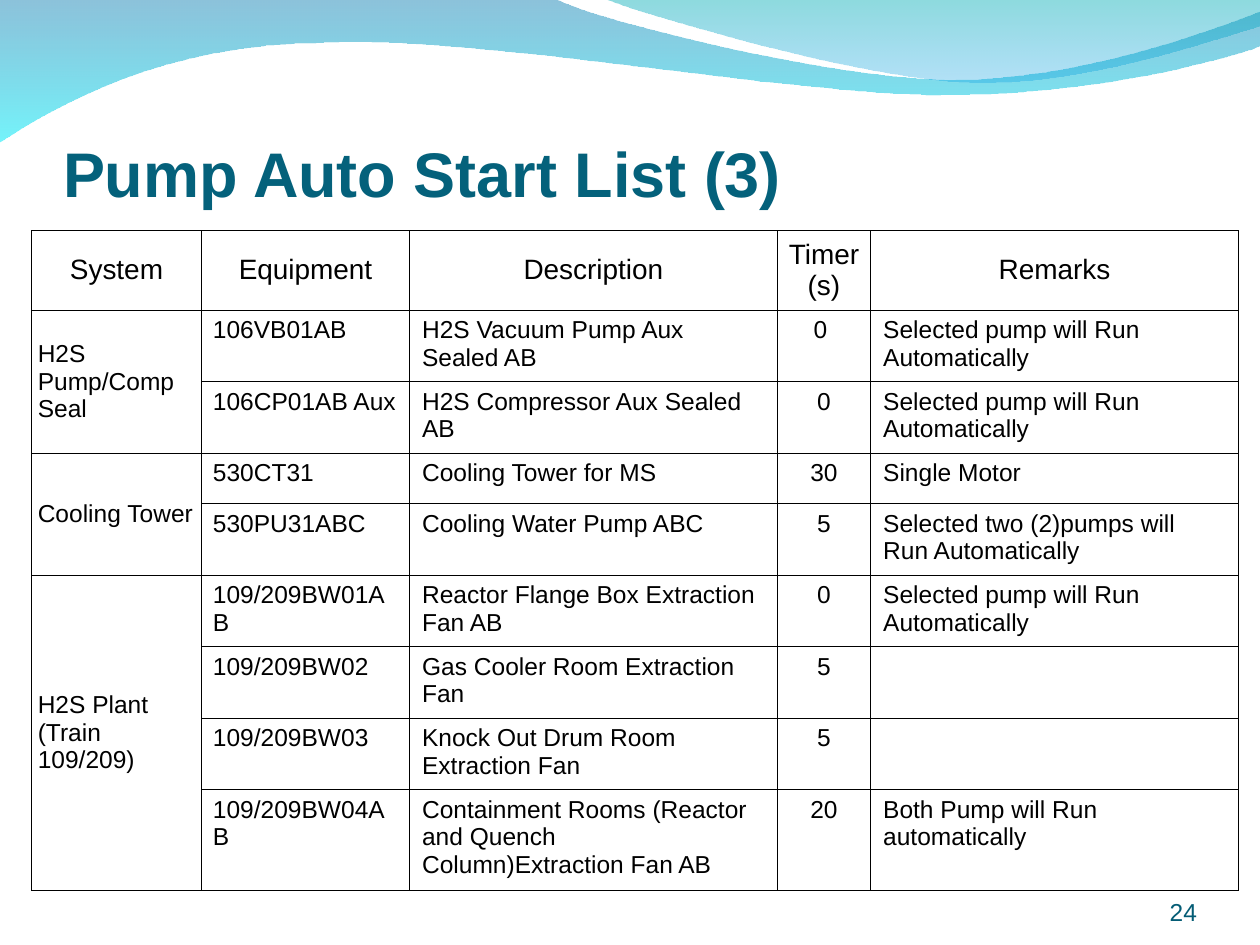
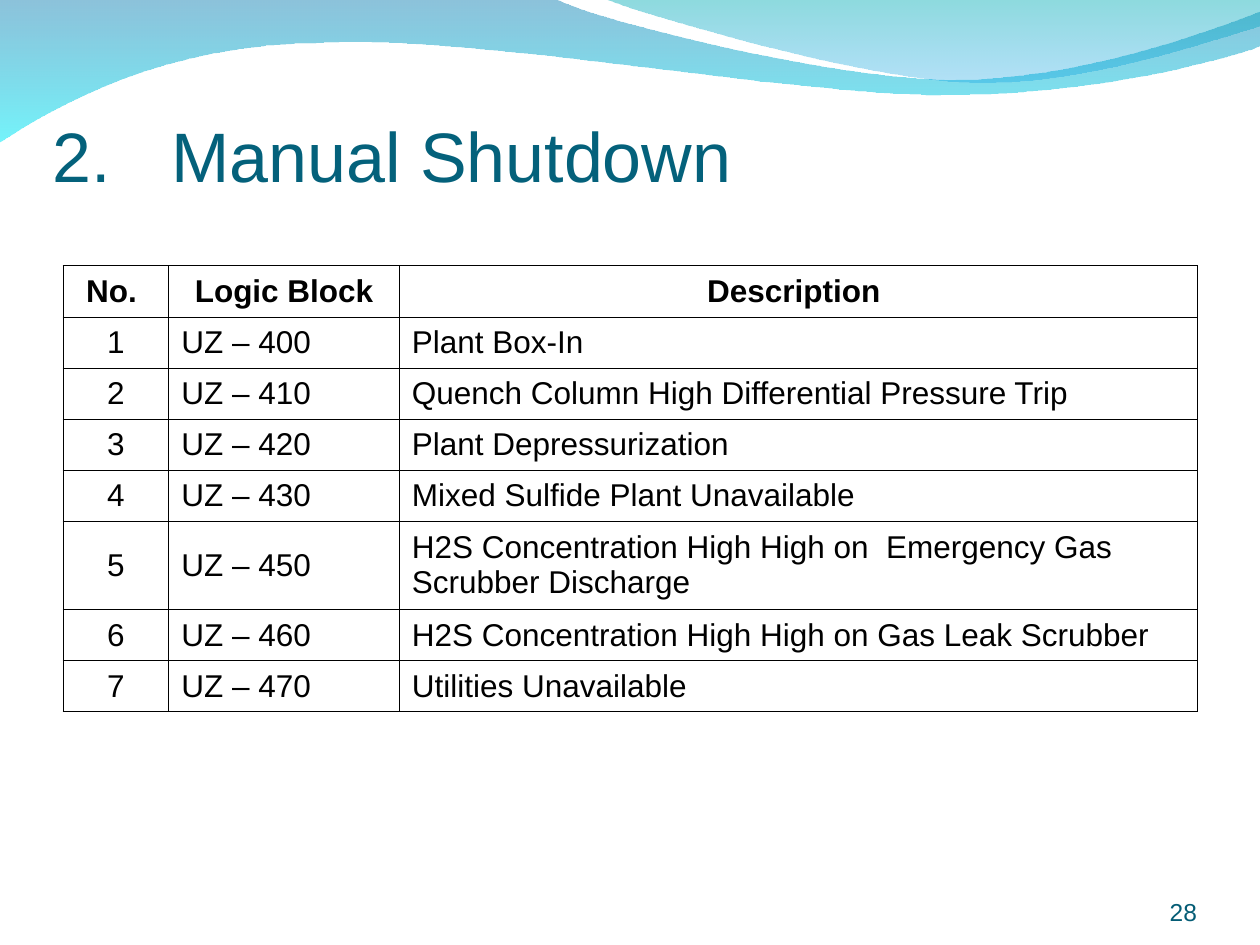
from lxml import etree
from pptx import Presentation
from pptx.dml.color import RGBColor
from pptx.enum.text import MSO_ANCHOR, MSO_AUTO_SIZE, PP_ALIGN
from pptx.oxml.ns import qn
from pptx.util import Inches, Pt

LEFT, CENTER, RIGHT = PP_ALIGN.LEFT, PP_ALIGN.CENTER, PP_ALIGN.RIGHT
TOP, MIDDLE, BOTTOM = MSO_ANCHOR.TOP, MSO_ANCHOR.MIDDLE, MSO_ANCHOR.BOTTOM
NO_AUTOFIT = MSO_AUTO_SIZE.NONE

# Shared look
FONT = "Arial"
TITLE_COLOR, NUMBER_COLOR, INK = "04617B", "045C75", "000000"
SLIDE_W, SLIDE_H = 10, 7.5
TITLE_SIZE = (9, 1.25)
NUMBER_BOX = (8.67, 6.95, 0.83, 0.4)
BORDER_PT = 0.45

# Header waves: single points are lines, triples of points are curves;
# gradient stops run top to bottom as (colour, opacity %)
WAVES = [
    {"start": (0, -0.01),
     "segments": [
         [(4.4, -0.01)],
         [(4.76, 0.17), (6.64, 0.63), (7.58, 0.63)],
         [(8.53, 0.63), (9.58, 0.26), (10, 0.09)],
         [(10.01, 0.36)],
         [(9.83, 0.44), (8.7, 0.76), (7.46, 0.75)],
         [(6.22, 0.75), (3.82, 0.28), (2.57, 0.34)],
         [(1.29, 0.35), (0.46, 0.83), (-0.01, 1.13)],
         [(0, -0.01)]],
     "stops": [("0079AF", 45), ("00EBF8", 55)]},
    {"start": (4.79, -0.01),
     "segments": [
         [(5.09, 0.11), (6.82, 0.62), (7.69, 0.65)],
         [(8.56, 0.69), (9.61, 0.32), (10, 0.21)],
         [(10, 0)],
         [(4.79, -0.01)]],
     "stops": [("00ADB6", 45), ("009BE5", 30)]},
]

# Slide content
AUTO_RUN = "Selected pump will Run Automatically"
PUMP_HEADER = ["System", "Equipment", "Description", "Timer (s)", "Remarks"]
PUMP_SYSTEMS = [
    ("H2S Pump/Comp Seal", [
        ("106VB01AB", "H2S Vacuum Pump Aux Sealed AB", "0 ", AUTO_RUN),
        ("106CP01AB Aux", "H2S Compressor Aux Sealed AB", "0", AUTO_RUN)]),
    ("Cooling Tower", [
        ("530CT31", "Cooling Tower for MS", "30", "Single Motor"),
        ("530PU31ABC", "Cooling Water Pump ABC", "5",
         "Selected two (2)pumps will Run Automatically")]),
    ("H2S Plant (Train 109/209)", [
        ("109/209BW01AB", "Reactor Flange Box Extraction Fan AB", "0", AUTO_RUN),
        ("109/209BW02", "Gas Cooler Room Extraction Fan", "5", ""),
        ("109/209BW03", "Knock Out Drum Room Extraction Fan", "5", ""),
        ("109/209BW04AB",
         "Containment Rooms (Reactor and Quench Column)Extraction Fan AB",
         "20", "Both Pump will Run automatically")]),
]
PUMP_COLUMNS = [1.35, 1.65, 2.92, 0.74, 2.92]
PUMP_HEAD, PUMP_ONE_LINE, PUMP_THREE_LINES = 0.63, 0.4, 0.8
PUMP_TWO_LINES = (5.24 - PUMP_HEAD - PUMP_ONE_LINE - PUMP_THREE_LINES) / 6
PUMP_ROWS = ([PUMP_HEAD] + [PUMP_TWO_LINES] * 2 + [PUMP_ONE_LINE]
             + [PUMP_TWO_LINES] * 4 + [PUMP_THREE_LINES])
PUMP_ALIGN = [LEFT, LEFT, LEFT, CENTER, LEFT]
PUMP_SIDES = [0.05, 0.09, 0.1, 0.1, 0.1]

SHUTDOWN_HEADER = ["No. ", "Logic Block", "Description "]
SHUTDOWN_BLOCKS = [
    ("400", "Plant Box-In"),
    ("410", "Quench Column High Differential Pressure Trip"),
    ("420", "Plant Depressurization"),
    ("430", "Mixed Sulfide Plant Unavailable"),
    ("450", "H2S Concentration High High on  Emergency Gas Scrubber Discharge"),
    ("460", "H2S Concentration High High on Gas Leak Scrubber"),
    ("470", "Utilities Unavailable"),
]
SHUTDOWN_COLUMNS = [0.84, 1.83, 6.33]
SHUTDOWN_TWO_LINES = 0.7
SHUTDOWN_ONE_LINE = (3.54 - SHUTDOWN_TWO_LINES) / 7
SHUTDOWN_ROWS = ([SHUTDOWN_ONE_LINE] * 5 + [SHUTDOWN_TWO_LINES]
                 + [SHUTDOWN_ONE_LINE] * 2)


def rgb(value):
    return RGBColor.from_string(value)


def apply(target, values):
    for name, value in values.items():
        setattr(target, name, value)


def write(frame, text, size, color, align=LEFT, bold=False):
    frame.text = text
    paragraph = frame.paragraphs[0]
    paragraph.alignment = align
    for run in paragraph.runs:
        apply(run.font, {"name": FONT, "size": Pt(size), "bold": bold})
        run.font.color.rgb = rgb(color)
    return paragraph


def bend(shape, segments):
    """Turn each triple of line points into one cubic curve."""
    lines = iter(list(shape.element.iter(qn("a:lnTo"))))
    for segment in segments:
        first, *others = [next(lines) for _ in segment]
        if others:
            first.tag = qn("a:cubicBezTo")
        for line in others:
            first.append(line[0])
            line.getparent().remove(line)


def add_wave(slide, wave):
    points = [tuple(map(Inches, p)) for part in wave["segments"] for p in part]
    builder = slide.shapes.build_freeform(*map(Inches, wave["start"]), scale=1.0)
    builder.add_line_segments(points, close=True)
    shape = builder.convert_to_shape()
    bend(shape, wave["segments"])
    shape.shadow.inherit = False
    shape.line.fill.background()
    shape.fill.gradient()
    shape.fill.gradient_angle = 270
    for stop, (color, _) in zip(shape.fill.gradient_stops, wave["stops"]):
        stop.color.rgb = rgb(color)
    colors = list(shape.element.spPr.iter(qn("a:srgbClr")))
    for color, (_, opacity) in zip(colors, wave["stops"]):
        etree.SubElement(color, qn("a:alpha"), val=str(opacity * 1000))
    return shape


def add_shared_waves(slide):
    """Draw the waves once and hand them to the layout, behind its parts."""
    layout_tree = slide.slide_layout.shapes.element
    for index, wave in enumerate(WAVES):
        element = add_wave(slide, wave).element
        element.nvSpPr.cNvPr.set("id", str(101 + index))
        layout_tree.insert(2 + index, element)


def set_title(slide, text, left, top, size, anchor, bold=False):
    title = slide.shapes.title
    width, height = TITLE_SIZE
    apply(title, {"left": Inches(left), "top": Inches(top),
                  "width": Inches(width), "height": Inches(height)})
    apply(title.text_frame, {
        "auto_size": NO_AUTOFIT, "word_wrap": True, "vertical_anchor": anchor,
        "margin_left": 0, "margin_right": 0,
        "margin_top": Inches(0.05), "margin_bottom": 0})
    return write(title.text_frame, text, size, TITLE_COLOR, bold=bold)


def add_number(slide, number):
    frame = slide.shapes.add_textbox(*map(Inches, NUMBER_BOX)).text_frame
    apply(frame, {"word_wrap": True, "vertical_anchor": BOTTOM, "margin_left": 0,
                  "margin_right": 0, "margin_top": 0, "margin_bottom": 0})
    write(frame, str(number), 14, NUMBER_COLOR, RIGHT)


def add_borders(cell):
    properties = cell._tc.get_or_add_tcPr()
    for side in ("lnL", "lnR", "lnT", "lnB"):
        line = etree.SubElement(properties, qn(f"a:{side}"), w=str(Pt(BORDER_PT)))
        fill = etree.SubElement(line, qn("a:solidFill"))
        etree.SubElement(fill, qn("a:srgbClr"), val=INK)


def add_grid(slide, left, top, columns, rows):
    table = slide.shapes.add_table(
        len(rows), len(columns), Inches(left), Inches(top),
        Inches(sum(columns)), Inches(sum(rows))).table
    apply(table, {"first_row": False, "horz_banding": False})
    for column, width in zip(table.columns, columns):
        column.width = Inches(width)
    for row, height in zip(table.rows, rows):
        row.height = Inches(height)
    for cell in table.iter_cells():
        add_borders(cell)
        cell.fill.background()
    return table


def fill_cell(cell, text, size, align=LEFT, anchor=MIDDLE, side=0.1, bold=False):
    apply(cell, {"vertical_anchor": anchor,
                 "margin_left": Inches(side), "margin_right": Inches(side),
                 "margin_top": Inches(0.05), "margin_bottom": Inches(0.05)})
    write(cell.text_frame, text, size, INK, align, bold)


def fill_pump_slide(slide):
    set_title(slide, "Pump Auto Start List (3)", 0.5, 0.42, 36, BOTTOM, bold=True)
    table = add_grid(slide, 0.25, 1.83, PUMP_COLUMNS, PUMP_ROWS)
    for col, heading in enumerate(PUMP_HEADER):
        fill_cell(table.cell(0, col), heading, 16, CENTER, side=0.05)
    row = 1
    for system, pumps in PUMP_SYSTEMS:
        first = table.cell(row, 0)
        first.merge(table.cell(row + len(pumps) - 1, 0))
        fill_cell(first, system, 14, side=PUMP_SIDES[0])
        for pump in pumps:
            for col, text in enumerate(pump, start=1):
                fill_cell(table.cell(row, col), text, 14, PUMP_ALIGN[col], TOP,
                          PUMP_SIDES[col])
            row += 1


def fill_shutdown_slide(slide):
    title = set_title(slide, "2.\tManual Shutdown", 0.42, 0.58, 40, MIDDLE)
    indent = Inches(0.94)
    properties = title._p.get_or_add_pPr()
    properties.set("marL", str(indent))
    properties.set("indent", str(-indent))
    table = add_grid(slide, 0.5, 2.11, SHUTDOWN_COLUMNS, SHUTDOWN_ROWS)
    for col, heading in enumerate(SHUTDOWN_HEADER):
        fill_cell(table.cell(0, col), heading, 18, CENTER, bold=True)
    for row, (block, description) in enumerate(SHUTDOWN_BLOCKS, start=1):
        for col, text in enumerate((str(row), f"UZ – {block}", description)):
            fill_cell(table.cell(row, col), text, 18, LEFT if col else CENTER)


def main():
    prs = Presentation()
    prs.slide_width, prs.slide_height = Inches(SLIDE_W), Inches(SLIDE_H)
    title_only = prs.slide_layouts[5]
    pages = [(24, fill_pump_slide), (28, fill_shutdown_slide)]
    for index, (number, fill_slide) in enumerate(pages):
        slide = prs.slides.add_slide(title_only)
        if index == 0:
            add_shared_waves(slide)
        fill_slide(slide)
        add_number(slide, number)
    prs.save("out.pptx")


if __name__ == "__main__":
    main()
